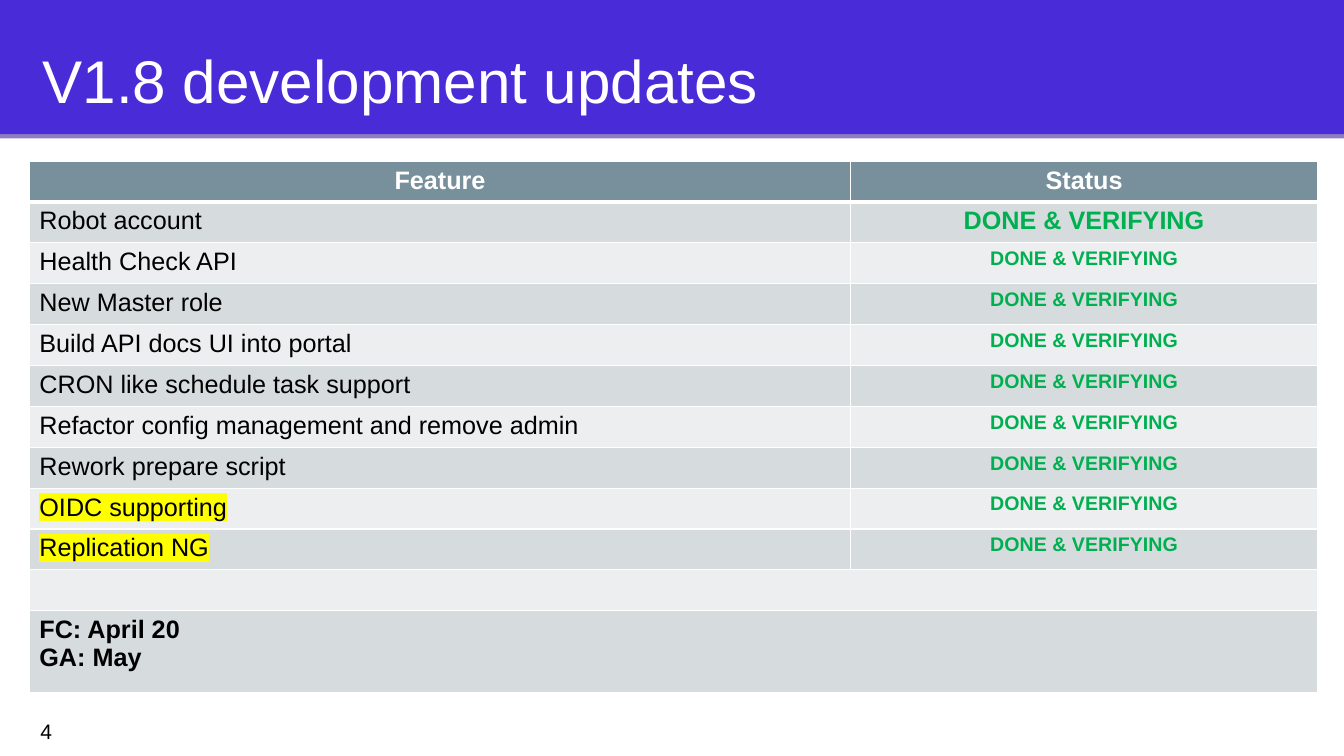
import lxml.etree
import pptx
import pptx.dml.color
import pptx.enum.shapes
import pptx.enum.text
import pptx.oxml.ns
import pptx.util
from pptx.util import Cm

RGBColor = pptx.dml.color.RGBColor
ALIGN = pptx.enum.text.PP_ALIGN
ANCHOR = pptx.enum.text.MSO_ANCHOR

VIOLET = RGBColor(0x4A, 0x2B, 0xD8)
LAVENDER = RGBColor(0x8E, 0x7C, 0xC3)
SLATE = RGBColor(0x78, 0x90, 0x9C)
DARK_BAND = RGBColor(0xD6, 0xDB, 0xDE)
LIGHT_BAND = RGBColor(0xEC, 0xEE, 0xEF)
GREEN = RGBColor(0x00, 0xB0, 0x50)
YELLOW = RGBColor(0xFF, 0xFF, 0x00)
WHITE = RGBColor(0xFF, 0xFF, 0xFF)
BLACK = RGBColor(0x00, 0x00, 0x00)

SLIDE_WIDTH, SLIDE_HEIGHT = Cm(33.87), Cm(19.05)
ROW_HEIGHT = Cm(1.03)
FEATURES = [
    "Robot account",
    "Health Check API",
    "New Master role",
    "Build API docs UI into portal",
    "CRON like schedule task support",
    "Refactor config management and remove admin",
    "Rework prepare script",
    "OIDC supporting",
    "Replication NG",
]
HIGHLIGHTED = {"OIDC supporting", "Replication NG"}
STATUS = "DONE & VERIFYING"
MILESTONES = "FC: April 20\nGA: May"


def add_xml(parent, tag, **attributes):
    return lxml.etree.SubElement(parent, pptx.oxml.ns.qn(tag), **attributes)


class SlideBuilder:
    font_name = "Arial"
    inset = Cm(0.33)

    def __init__(self, slide):
        self.slide = slide

    def style(self, frame, size, color, bold=False, align=ALIGN.LEFT):
        for paragraph in frame.paragraphs:
            paragraph.alignment = align
            font = paragraph.font
            font.name, font.size = self.font_name, pptx.util.Pt(size)
            font.bold, font.color.rgb = bold, color

    def set_frame(self, frame, anchor, top_inset):
        frame.word_wrap = True
        frame.auto_size = pptx.enum.text.MSO_AUTO_SIZE.NONE
        frame.vertical_anchor = anchor
        frame.margin_left = frame.margin_right = frame.margin_bottom = self.inset
        frame.margin_top = top_inset

    def band(self, top, height, color):
        """Full-width strip placed behind everything else."""
        strip = self.slide.shapes.add_shape(
            pptx.enum.shapes.MSO_SHAPE.RECTANGLE, 0, top, SLIDE_WIDTH, height)
        strip.shadow.inherit = False
        strip.fill.solid()
        strip.fill.fore_color.rgb = color
        strip.line.fill.background()
        self.slide.shapes._spTree.insert(2, strip._element)

    def title(self, text, left, top, width, height):
        heading = self.slide.shapes.title
        heading.left, heading.top = left, top
        heading.width, heading.height = width, height
        heading.text_frame.text = text
        self.set_frame(heading.text_frame, ANCHOR.TOP, Cm(0.51))
        self.style(heading.text_frame, 43, WHITE)

    def page_number(self, text, left, top, width, height):
        frame = self.slide.shapes.add_textbox(left, top, width, height).text_frame
        frame.text = text
        self.set_frame(frame, ANCHOR.MIDDLE, self.inset)
        self.style(frame, 15, BLACK)

    def table(self, left, top, column_widths, row_heights):
        grid = self.slide.shapes.add_table(
            len(row_heights), len(column_widths), left, top,
            sum(column_widths), sum(row_heights)).table
        grid.first_row = grid.horz_banding = False
        for column, width in zip(grid.columns, column_widths):
            column.width = width
        for index, (row, height) in enumerate(zip(grid.rows, row_heights)):
            row.height = height
            band_color = DARK_BAND if index % 2 else LIGHT_BAND
            for cell in row.cells:
                self.paint_cell(cell, band_color if index else SLATE,
                                top_border=1 if index != 1 else 3,
                                bottom_border=1 if index else 3)
        return grid

    def paint_cell(self, cell, color, top_border, bottom_border):
        properties = cell._tc.get_or_add_tcPr()
        borders = {"a:lnL": 1, "a:lnR": 1, "a:lnT": top_border, "a:lnB": bottom_border}
        for side, points in borders.items():
            border = add_xml(properties, side, w=str(pptx.util.Pt(points)))
            add_xml(add_xml(border, "a:solidFill"), "a:srgbClr", val=str(WHITE))
        cell.fill.solid()
        cell.fill.fore_color.rgb = color

    def cell_text(self, cell, text, size, color, bold=False, align=ALIGN.LEFT):
        cell.text_frame.text = text
        self.style(cell.text_frame, size, color, bold, align)

    def highlight(self, cell):
        run = cell.text_frame.paragraphs[0].runs[0]
        mark = add_xml(run._r.get_or_add_rPr(), "a:highlight")
        add_xml(mark, "a:srgbClr", val=str(YELLOW))


def main():
    deck = pptx.Presentation()
    deck.slide_width, deck.slide_height = SLIDE_WIDTH, SLIDE_HEIGHT
    builder = SlideBuilder(deck.slides.add_slide(deck.slide_layouts[5]))

    # Header
    builder.band(0, Cm(3.38), VIOLET)
    builder.band(Cm(3.38), Cm(0.11), LAVENDER)
    builder.title("V1.8 development updates", Cm(0.74), Cm(0.58), Cm(31.55), Cm(2.11))

    # Page number
    builder.page_number("4", Cm(0.69), Cm(17.7), Cm(2.03), Cm(1.45))

    # Feature table: header, features, spacer row, double-height milestones
    row_heights = [ROW_HEIGHT] * (len(FEATURES) + 2) + [2 * ROW_HEIGHT]
    updates = builder.table(Cm(0.74), Cm(4.06), [Cm(20.7), Cm(11.76)], row_heights)
    for column, heading in enumerate(["Feature", "Status"]):
        builder.cell_text(updates.cell(0, column), heading, 18, WHITE, True, ALIGN.CENTER)
    for row, feature in enumerate(FEATURES, start=1):
        builder.cell_text(updates.cell(row, 0), feature, 18, BLACK)
        status_size = 18 if row == 1 else 14
        builder.cell_text(updates.cell(row, 1), STATUS, status_size, GREEN, True, ALIGN.CENTER)
        if feature in HIGHLIGHTED:
            builder.highlight(updates.cell(row, 0))

    # Full-width closing rows
    spacer_row = len(FEATURES) + 1
    milestone_row = spacer_row + 1
    for row in (spacer_row, milestone_row):
        updates.cell(row, 0).merge(updates.cell(row, 1))
    builder.cell_text(updates.cell(milestone_row, 0), MILESTONES, 18, BLACK, True)

    deck.save("out.pptx")


if __name__ == "__main__":
    main()
